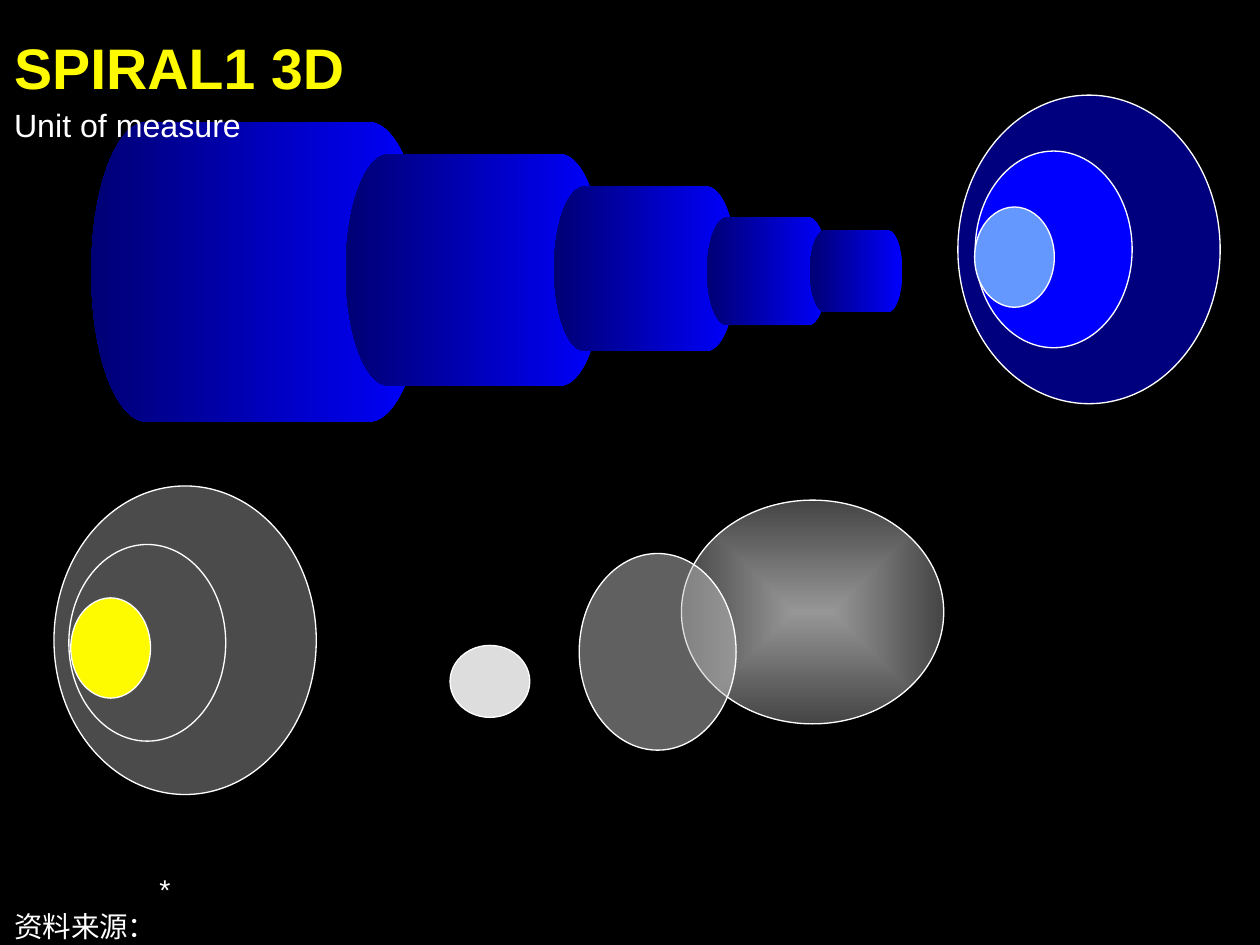
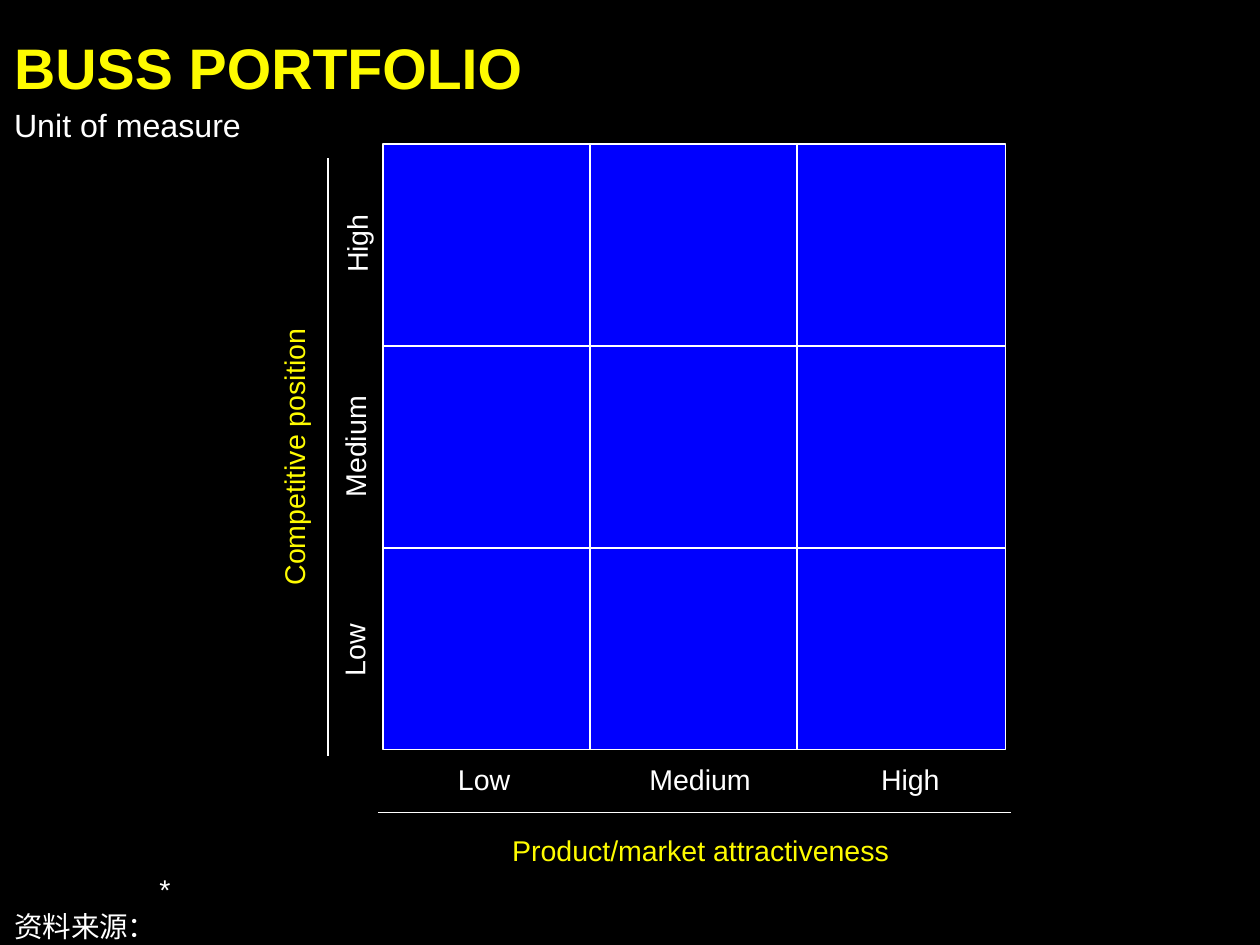
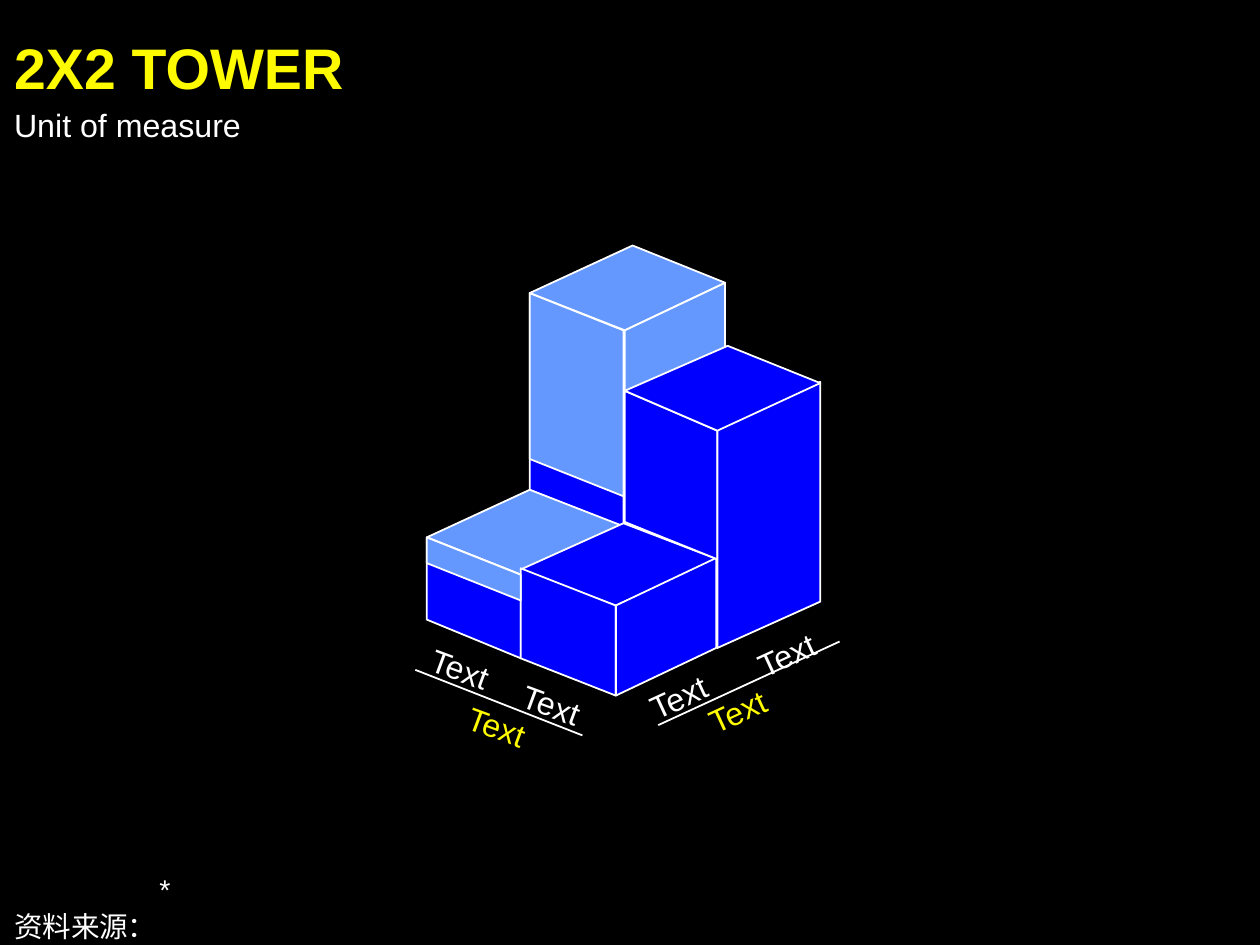
from lxml import etree
from pptx import Presentation
from pptx import util as u
from pptx.dml.color import RGBColor
from pptx.enum import shapes, text
from pptx.oxml.ns import qn

BLACK, WHITE, YELLOW = "000000", "FFFFFF", "FEFB00"
NAVY, BLUE, SKY = "000075", "0000FE", "6598FF"
LEFT, CENTER = text.PP_ALIGN.LEFT, text.PP_ALIGN.CENTER
TOP, MIDDLE, BOTTOM = text.MSO_ANCHOR.TOP, text.MSO_ANCHOR.MIDDLE, text.MSO_ANCHOR.BOTTOM


def color(value):
    return RGBColor.from_string(value)


def inches(*values):
    return [u.Inches(value) for value in values]


class Deck:
    font = "Arial"

    def __init__(self):
        self.deck = Presentation()
        self.deck.slide_width, self.deck.slide_height = inches(9.8, 7.35)
        background = self.deck.slide_master.background.fill
        background.solid()
        background.fore_color.rgb = color(BLACK)
        self.page = None

    def start_page(self, title):
        self.page = self.deck.slides.add_slide(self.deck.slide_layouts[5])
        box = self.page.shapes.title
        box.left, box.top, box.width, box.height = inches(0.11, 0.25, 9.51, 0.53)
        self.set_text(box, [title], 32, YELLOW, LEFT, TOP, bold=True)

    def finish_page(self):
        self.label("Unit of measure", (0.11, 0.82, 7.24, 0.3), size=18, align=LEFT)
        footer = self.label("\t*\n资料来源：", (0.11, 6.78, 9.42, 0.56), align=LEFT, anchor=BOTTOM,
                            tabs=((0, "l"), (0.98, "r"), (1.78, "l")))
        for para in footer.text_frame.paragraphs:
            para.space_after = u.Pt(2)

    def set_text(self, box, lines, size, ink, align, anchor, bold=False, tabs=()):
        frame = box.text_frame
        frame.word_wrap = True
        frame.auto_size = text.MSO_AUTO_SIZE.NONE
        frame.vertical_anchor = anchor
        frame.margin_left = frame.margin_top = frame.margin_right = frame.margin_bottom = 0
        for index, line in enumerate(lines):
            para = frame.add_paragraph() if index else frame.paragraphs[0]
            para.text = line
            para.alignment = align
            if tabs:
                self.set_tabs(para, tabs)
            para.font.name = self.font
            para.font.size = u.Pt(size)
            para.font.bold = bold
            para.font.color.rgb = color(ink)

    def set_tabs(self, para, tabs):
        properties = para._p.get_or_add_pPr()
        properties.set("marL", str(u.Inches(1.13)))
        properties.set("indent", str(-u.Inches(1.13)))
        stops = etree.SubElement(properties, qn("a:tabLst"))
        for position, side in tabs:
            etree.SubElement(stops, qn("a:tab"), pos=str(u.Inches(position)), algn=side)

    def label(self, words, at, ink=WHITE, size=16, align=CENTER, anchor=TOP, turn=0, tabs=()):
        box = self.page.shapes.add_textbox(*inches(*at))
        box.rotation = turn
        self.set_text(box, words.split("\n"), size, ink, align, anchor, tabs=tabs)
        return box

    def paint(self, shape, fill=None, width=None, opacity=None):
        shape.shadow.inherit = False
        if fill:
            shape.fill.solid()
            shape.fill.fore_color.rgb = color(fill)
        if opacity:
            value = shape._element.spPr.find(qn("a:solidFill")).find(qn("a:srgbClr"))
            etree.SubElement(value, qn("a:alpha"), val=str(opacity * 1000))
        if width:
            shape.line.color.rgb = color(WHITE)
            shape.line.width = u.Pt(width)
        else:
            shape.line.fill.background()

    def blend(self, shape, first, last, angle=0):
        shape.fill.gradient()
        shape.fill.gradient_angle = angle
        for stop, value, position in zip(shape.fill.gradient_stops, (first, last), (0, 1)):
            stop.color.rgb = color(value)
            stop.position = position

    def ellipse(self, at, fill=None, opacity=None):
        shape = self.page.shapes.add_shape(shapes.MSO_SHAPE.OVAL, *inches(*at))
        shape.rotation = 90
        self.paint(shape, fill, 0.75, opacity)
        return shape

    def glowing_ellipse(self, at, inner, outer):
        shape = self.ellipse(at)
        self.blend(shape, inner, outer)
        linear = shape._element.spPr.find(".//" + qn("a:lin"))
        radial = etree.Element(qn("a:path"), {"path": "rect"})
        etree.SubElement(radial, qn("a:fillToRect"), l="50000", t="50000", r="50000", b="50000")
        linear.getparent().replace(linear, radial)

    def drum(self, at):
        kind = shapes.MSO_SHAPE.FLOWCHART_DIRECT_ACCESS_STORAGE
        shape = self.page.shapes.add_shape(kind, *inches(*at))
        self.paint(shape)
        self.blend(shape, BLUE, NAVY, 180)

    def cell(self, at):
        shape = self.page.shapes.add_shape(shapes.MSO_SHAPE.RECTANGLE, *inches(*at))
        self.paint(shape, BLUE, 1)

    def face(self, points, fill):
        corners = [inches(*point) for point in points]
        builder = self.page.shapes.build_freeform(*corners[0])
        builder.add_line_segments(corners[1:], close=True)
        self.paint(builder.convert_to_shape(), fill, 1)

    def line(self, start, end):
        rule = self.page.shapes.add_connector(shapes.MSO_CONNECTOR.STRAIGHT, *inches(*start, *end))
        rule.line.color.rgb = color(WHITE)
        rule.line.width = u.Pt(1)
        etree.SubElement(rule._element.spPr, qn("a:effectLst"))


def build_spiral(deck):
    deck.start_page("SPIRAL1 3D")
    deck.ellipse((0.24, 3.96, 2.4, 2.04), "969696", 50)
    deck.ellipse((0.38, 4.39, 1.53, 1.22), "4D4D4D")
    deck.ellipse((0.47, 4.73, 0.78, 0.62), YELLOW)
    for at in ((0.71, 0.95, 2.59, 2.33), (2.69, 1.2, 2, 1.8), (4.31, 1.45, 1.42, 1.28),
               (5.5, 1.69, 0.94, 0.84), (6.3, 1.79, 0.72, 0.64)):
        deck.drum(at)
    deck.ellipse((7.27, 0.92, 2.4, 2.04), BLUE, 50)
    deck.ellipse((7.43, 1.33, 1.53, 1.22), BLUE)
    deck.ellipse((7.5, 1.69, 0.78, 0.62), SKY)
    deck.glowing_ellipse((5.45, 3.74, 1.74, 2.04), "969696", "454545")
    deck.ellipse((4.35, 4.46, 1.53, 1.22), "C0C0C0", 50)
    deck.ellipse((3.53, 4.99, 0.56, 0.62), "DDDDDD")
    deck.finish_page()


def build_portfolio(deck):
    deck.start_page("BUSS PORTFOLIO")
    for row in range(3):
        for column in range(3):
            deck.cell((2.98 + 1.61 * column, 1.12 + 1.57 * row, 1.62, 1.57))
    deck.line((2.55, 1.23), (2.55, 5.88))
    deck.line((2.94, 6.32), (7.86, 6.32))
    deck.label("Competitive position", (0.01, 3.42, 4.55, 0.27), YELLOW, anchor=MIDDLE, turn=270)
    deck.label("Product/market attractiveness", (2.98, 6.48, 4.94, 0.27), YELLOW)
    levels = (("Low", 3.04, 1.45, 2.05, 4.92, 1.41), ("Medium", 4.74, 1.41, 2.07, 3.34, 1.38),
              ("High", 6.42, 1.32, 2.05, 1.76, 1.45))
    for level, left, width, side_left, side_top, side_width in levels:
        deck.label(level, (left, 5.93, width, 0.27))
        deck.label(level, (side_left, side_top, side_width, 0.27), turn=270)
    deck.finish_page()


def build_tower(deck):
    deck.start_page("2X2 TOWER")
    faces = (
        (BLUE, (4.12, 2.28), (4.12, 3.81), (4.85, 4.1), (4.85, 2.57)),
        (SKY, (4.92, 1.91), (4.12, 2.28), (4.86, 2.57), (5.64, 2.2)),
        (SKY, (4.86, 2.57), (4.86, 4.69), (5.64, 4.33), (5.64, 2.2)),
        (SKY, (4.12, 3.81), (3.32, 4.18), (4.05, 4.47), (4.84, 4.09)),
        (BLUE, (3.32, 4.18), (3.32, 4.82), (4.05, 5.12), (4.05, 4.47)),
        (BLUE, (4.85, 4.07), (4.05, 4.43), (4.79, 4.71), (5.58, 4.35)),
        (BLUE, (4.05, 4.42), (4.05, 5.12), (4.79, 5.41), (4.79, 4.71)),
        (BLUE, (4.79, 4.71), (4.79, 5.41), (5.57, 5.04), (5.57, 4.34)),
        (BLUE, (4.86, 3.04), (4.86, 4.06), (5.58, 4.35), (5.58, 3.35)),
        (BLUE, (5.58, 3.34), (5.58, 5.04), (6.38, 4.68), (6.38, 2.97)),
        (SKY, (4.12, 2.28), (4.12, 3.57), (4.85, 3.86), (4.85, 2.57)),
        (SKY, (3.32, 4.18), (3.32, 4.38), (4.05, 4.67), (4.05, 4.47)),
        (BLUE, (5.66, 2.69), (4.86, 3.04), (5.58, 3.35), (6.38, 2.98)),
    )
    for fill, *points in faces:
        deck.face(points, fill)
    deck.line((3.23, 5.21), (4.53, 5.72))
    deck.line((5.12, 5.64), (6.53, 4.99))
    for left, top, width, turn, ink in (
            (3.26, 5.05, 0.64, 20.3, WHITE), (3.97, 5.33, 0.64, 20.3, WHITE),
            (3.21, 5.5, 1.31, 20.3, YELLOW), (4.92, 5.27, 0.71, 335.2, WHITE),
            (5.76, 4.94, 0.71, 335.2, WHITE), (4.97, 5.38, 1.53, 335.2, YELLOW)):
        deck.label("Text", (left, top, width, 0.3), ink, size=18, turn=turn)
    deck.finish_page()


def main():
    deck = Deck()
    build_spiral(deck)
    build_portfolio(deck)
    build_tower(deck)
    deck.deck.save("out.pptx")


if __name__ == "__main__":
    main()
